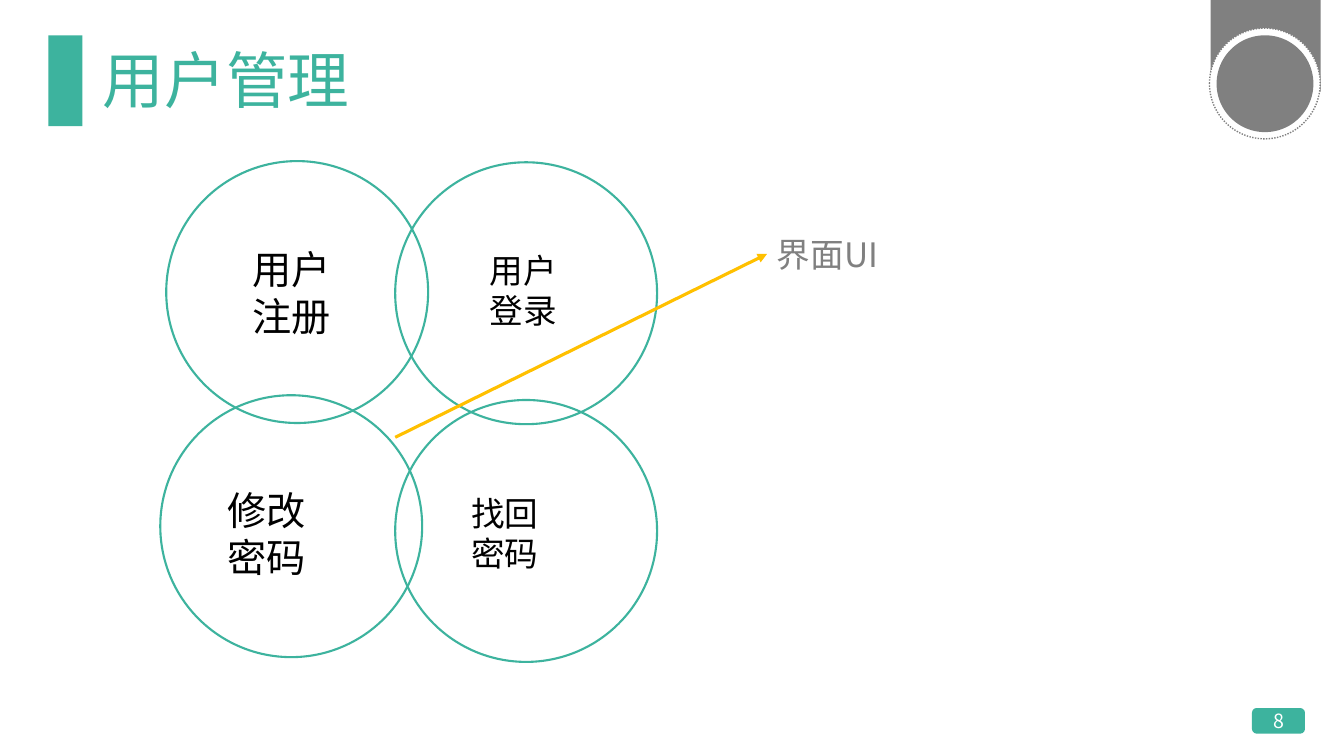
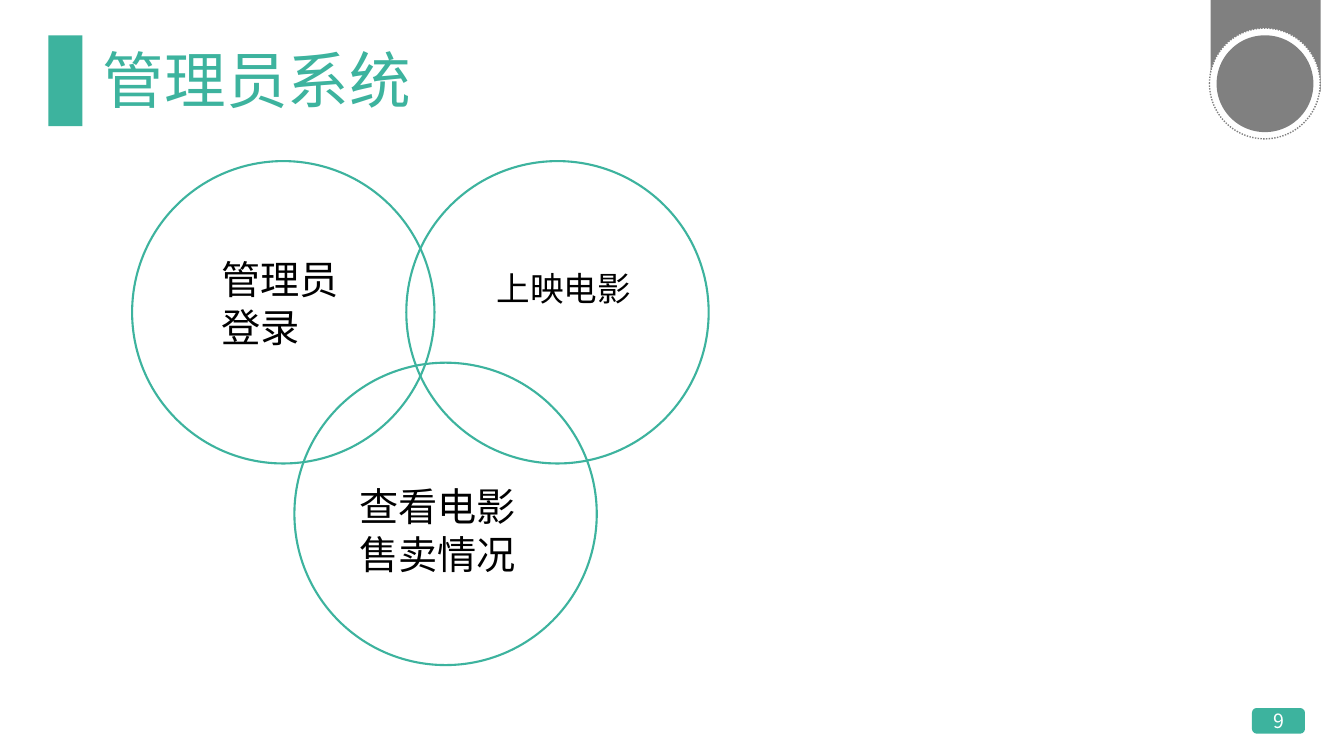
import lxml.etree
import pptx
import pptx.dml.color
import pptx.enum.dml
import pptx.enum.shapes
import pptx.enum.text
import pptx.oxml.ns
import pptx.util

Cm = pptx.util.Cm
Pt = pptx.util.Pt
kinds = pptx.enum.shapes.MSO_SHAPE
align = pptx.enum.text.PP_ALIGN
hue = pptx.dml.color.RGBColor.from_string
qn = pptx.oxml.ns.qn

green, grey, gold = "3DB39E", "808080", "FFC000"
white, black = "FFFFFF", "000000"
noto, latin = "Noto Sans CJK SC", "Calibri"


def write(shape, text, size=24, color=black, font=latin, side=align.LEFT,
          middle=False, gap=1.0):
    frame = shape.text_frame
    frame.word_wrap = True
    frame.text = text
    if middle:
        frame.vertical_anchor = pptx.enum.text.MSO_ANCHOR.MIDDLE
    for para in frame.paragraphs:
        para.alignment = side
        para.line_spacing = gap
        for run in para.runs:
            run.font.size = Pt(size)
            run.font.name = font
            run.font.color.rgb = hue(color)
    for props in shape.element.iter(qn("a:rPr")):
        lxml.etree.SubElement(props, qn("a:ea")).set("typeface", font)


def draw(slide, kind, box, fill=None, line=None, width=1.5):
    shape = slide.shapes.add_shape(kind, *map(Cm, box))
    shape.shadow.inherit = False
    if fill:
        shape.fill.solid()
        shape.fill.fore_color.rgb = hue(fill)
    else:
        shape.fill.background()
    if line:
        shape.line.color.rgb = hue(line)
        shape.line.width = Pt(width)
    else:
        shape.line.fill.background()
    return shape


deck = pptx.Presentation()
deck.slide_width, deck.slide_height = Cm(33.87), Cm(19.05)
layout = deck.slide_layouts[5]
head = layout.placeholders[0]
head.left, head.top, head.width, head.height = map(Cm, (2.34, 1.02, 29.21, 2.16))

pages = [
    ("用户管理", 6.6,
     [(4.19, 4.06), (9.96, 10.08), (4.04, 9.96), (9.96, 4.09)],
     [("用户\n登录", 24, (12.09, 6.17, 4.19, 2.31)),
      ("用户\n注册", 28, (6.12, 6.05, 3.51, 2.64)),
      ("修改\n密码", 28, (5.49, 12.12, 4.14, 2.64)),
      ("找回\n密码", 24, (11.63, 12.29, 3.43, 2.31))]),
    ("管理员系统", 7.62,
     [(3.33, 4.06), (10.24, 4.06), (7.42, 9.14)],
     [("上映电影", 24, (12.27, 6.63, 4.19, 1.27)),
      ("管理员登录", 28, (5.33, 6.32, 3.51, 2.64)),
      ("查看电影售卖情况", 28, (8.81, 12.04, 4.55, 2.64))]),
]

slides = []
for page, (title, size, rings, labels) in enumerate(pages, 8):
    slide = deck.slides.add_slide(layout)
    slides.append(slide)
    write(slide.shapes.title, title, size=44, color=green, font=noto,
          middle=True, gap=0.9)
    number = slide.shapes.add_textbox(Cm(30.96), Cm(17.65), Cm(2.54), Cm(1.02))
    write(number, str(page), size=14, color=white, font=noto,
          side=align.CENTER, middle=True)
    for left, top in rings:
        draw(slide, kinds.OVAL, (left, top, size, size), line=green)
    for text, points, box in labels:
        write(slide.shapes.add_textbox(*map(Cm, box)), text, size=points)

first = slides[0]
arrow = first.shapes.add_connector(
    pptx.enum.shapes.MSO_CONNECTOR.STRAIGHT,
    Cm(9.96), Cm(11.02), Cm(19.33), Cm(6.4))
arrow.line.color.rgb = hue(gold)
arrow.line.width = Pt(2.25)
tip = lxml.etree.SubElement(arrow.line._get_or_add_ln(), qn("a:tailEnd"))
tip.set("type", "triangle")
lxml.etree.SubElement(arrow.element.spPr, qn("a:effectLst"))
note = first.shapes.add_textbox(Cm(19.33), Cm(5.77), Cm(13.36), Cm(1.27))
write(note, "界面UI", color=grey, font=noto)

tag = draw(first, kinds.ROUNDED_RECTANGLE, (31.57, 17.86, 1.3, 0.61), green, green, 1)
bar = draw(first, kinds.RECTANGLE, (1.22, 0.89, 0.86, 2.29), green)
band = draw(first, kinds.RECTANGLE, (30.51, 0, 2.77, 2.31), grey)
ring = draw(first, kinds.OVAL, (30.48, 0.71, 2.79, 2.79), white, grey, 1)
ring.line.dash_style = pptx.enum.dml.MSO_LINE.ROUND_DOT
disc = draw(first, kinds.OVAL, (30.66, 0.89, 2.44, 2.44), grey)
for key, part in enumerate((tag, bar, band, ring, disc), 20):
    part.element.xpath(".//p:cNvPr")[0].set("id", str(key))
    layout.shapes.element.append(part.element)

deck.save("out.pptx")
